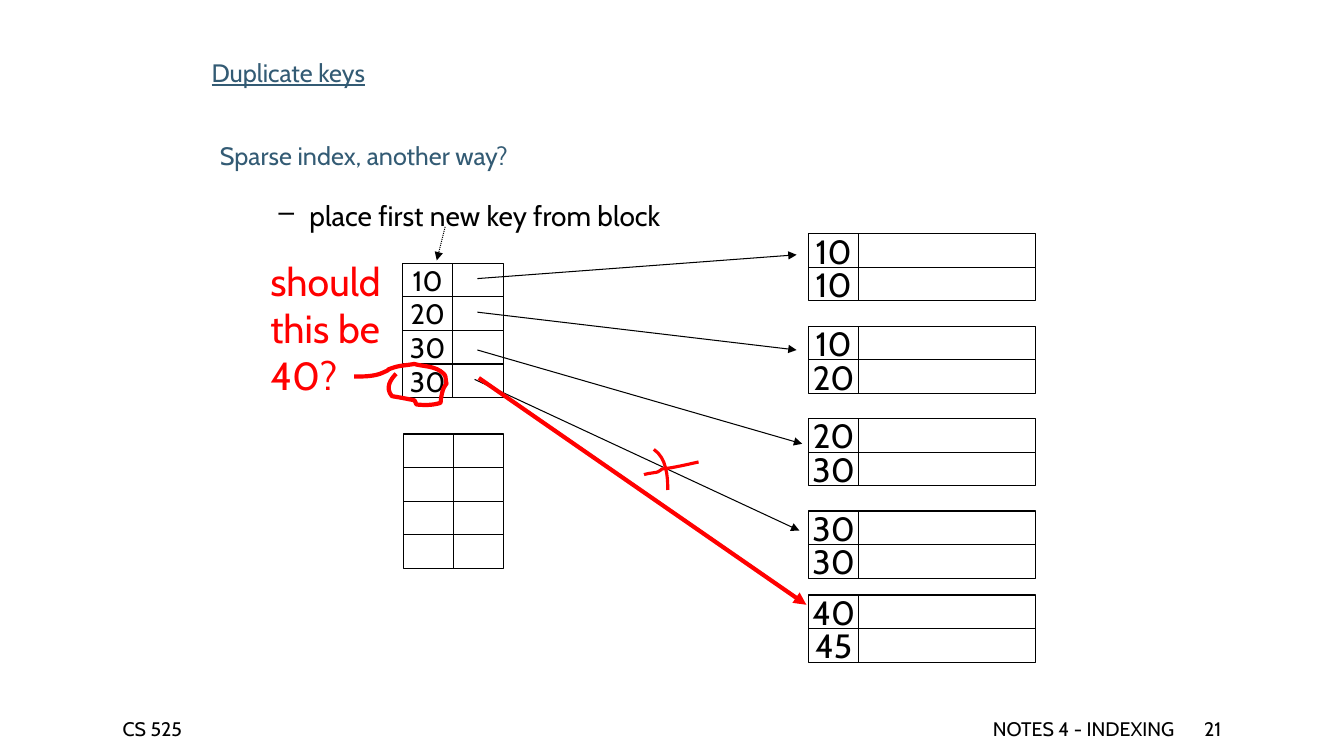
from lxml import etree
from pptx import Presentation
from pptx import util as u
from pptx.dml.color import RGBColor
from pptx.enum import dml, shapes, text
from pptx.oxml import ns

Pt = u.Pt
FONT = "Cabin"
COLORS = {"ink": "000000", "paper": "FFFFFF", "heading": "335B74", "mark": "FF0000"}
ROW_H = 24
KEY_W = 36

DATA_BLOCKS = [(167, (10, 10)), (233, (10, 20)), (299, (20, 30)),
               (365, (30, 30)), (425, (40, 45))]
POINTERS = [((341, 199), (569, 182)), ((341, 223), (569, 250)),
            ((341, 250), (573, 317)), ((339, 271), (571, 379))]

# Pen strokes: a start point, then cubic curves (control, control, end)
LOOP = [(283, 267),
        ((279, 271), (275, 277), (280, 283)),
        ((280, 283), (292, 285), (296, 286)),
        ((297, 287), (297, 289), (298, 289)),
        ((303, 289.5), (309, 289.5), (314, 288)),
        ((315, 288), (315, 286), (315, 285)),
        ((316, 280), (316, 278), (319, 274)),
        ((318, 271), (319, 269), (317, 267)),
        ((311, 261), (302, 262), (296, 260)),
        ((291, 261), (285, 261), (280, 263)),
        ((274, 265), (281, 263), (274, 266)),
        ((268, 269), (260, 269), (253, 269))]
CROSS = [[(499, 330),
          ((490, 332), (482, 334), (473, 335)),
          ((469, 338), (470, 337), (465, 338)),
          ((464, 338), (460, 339), (460, 339))],
         [(467, 321), ((476, 327), (477, 340), (477, 350))]]


def rgb(name):
    return RGBColor.from_string(COLORS[name])


def style(paragraph, size, color):
    paragraph.font.name = FONT
    paragraph.font.size = Pt(size)
    paragraph.font.color.rgb = rgb(color)


def label(slide, box, lines, size, color="ink", align=text.PP_ALIGN.LEFT, wrap=True):
    frame = slide.shapes.add_textbox(*map(Pt, box)).text_frame
    frame.word_wrap = wrap
    frame.vertical_anchor = text.MSO_ANCHOR.MIDDLE
    frame.text = lines
    for paragraph in frame.paragraphs:
        paragraph.alignment = align
        style(paragraph, size, color)
    return frame.paragraphs[0]


def cell(slide, box, key="", size=20):
    rect = slide.shapes.add_shape(shapes.MSO_SHAPE.RECTANGLE, *map(Pt, box))
    rect.shadow.inherit = False
    rect.fill.solid()
    rect.fill.fore_color.rgb = rgb("paper")
    rect.line.color.rgb = rgb("ink")
    rect.line.width = Pt(0.75)
    frame = rect.text_frame
    frame.word_wrap = False
    frame.vertical_anchor = text.MSO_ANCHOR.MIDDLE
    frame.text = str(key)
    frame.paragraphs[0].alignment = text.PP_ALIGN.CENTER
    style(frame.paragraphs[0], size, "ink")


def block(slide, left, top, keys, value_w, size):
    """Rows of a key cell and a value cell, stacked from the top."""
    for row, key in enumerate(keys):
        y = top + row * ROW_H
        cell(slide, (left, y, KEY_W, ROW_H), key, size)
        cell(slide, (left + KEY_W, y, value_w, ROW_H))


def arrow(slide, start, end, color="ink", width=0.75, dash=None):
    line = slide.shapes.add_connector(shapes.MSO_CONNECTOR.STRAIGHT,
                                      *map(Pt, (*start, *end)))
    line.line.color.rgb = rgb(color)
    line.line.width = Pt(width)
    if dash:
        line.line.dash_style = dash
    etree.SubElement(line.line._get_or_add_ln(), ns.qn("a:tailEnd"), type="triangle")
    etree.SubElement(line._element.spPr, ns.qn("a:effectLst"))


def curve_points(stroke, steps=8):
    start, *curves = stroke
    for c1, c2, end in curves:
        for i in range(1, steps + 1):
            t = i / steps
            s = 1 - t
            yield tuple(Pt(s**3 * a + 3 * s * s * t * b + 3 * s * t * t * c + t**3 * d)
                        for a, b, c, d in zip(start, c1, c2, end))
        start = end


def pen(slide, stroke, width):
    builder = slide.shapes.build_freeform(*map(Pt, stroke[0]))
    builder.add_line_segments(list(curve_points(stroke)), close=False)
    ink = builder.convert_to_shape()
    ink.shadow.inherit = False
    ink.fill.background()
    ink.line.color.rgb = rgb("mark")
    ink.line.width = Pt(width)


def footer(slide, top, height):
    label(slide, (80.5, top, 170, height), "CS 525", 14)
    label(slide, (382, top, 464, height), "NOTES 4 - INDEXING", 14,
          align=text.PP_ALIGN.RIGHT)
    label(slide, (853, top, 76, height), "21", 14)


def headings(slide, left, top):
    label(slide, (left + 6, top + 42, 612, 90), "Sparse index, another way?", 18, "heading")
    title = label(slide, (left, top, 264, 55.5), "Duplicate keys", 18, "heading")
    title.font.underline = True
    hint = label(slide, (left + 48, top + 114, 297, 31),
                 "place first new key from block", 20, wrap=False)
    props = hint._p.get_or_add_pPr()
    props.set("marL", str(Pt(22)))
    props.set("indent", str(-Pt(22)))
    etree.SubElement(props, ns.qn("a:buChar"), char="–")


def index_file(slide, left, top):
    block(slide, left, top, (10, 20, 30, 30), KEY_W, 20)
    block(slide, left + 0.5, top + 122, [""] * 4, KEY_W, 20)


def data_file(slide, left):
    for top, keys in DATA_BLOCKS:
        block(slide, left, top, keys, 126, 24)


def correction(slide):
    pen(slide, LOOP, 3)
    label(slide, (186, 180, 97, 108), "should\nthis be\n40?", 28, "mark", wrap=False)
    for stroke in CROSS:
        pen(slide, stroke, 2.25)
    arrow(slide, (342, 270), (576, 432), "mark", 3)


def main():
    deck = Presentation()
    deck.slide_width, deck.slide_height = Pt(960), Pt(540)
    slide = deck.slides.add_slide(deck.slide_layouts[6])
    footer(slide, 510, 21.5)
    data_file(slide, 577.5)
    index_file(slide, 287.5, 188)
    headings(slide, 144, 24)
    # Pointers from index entries to data blocks
    for start, end in POINTERS:
        arrow(slide, start, end)
    arrow(slide, (318, 162), (312, 186), dash=dml.MSO_LINE.ROUND_DOT)
    correction(slide)
    deck.save("out.pptx")


if __name__ == "__main__":
    main()
